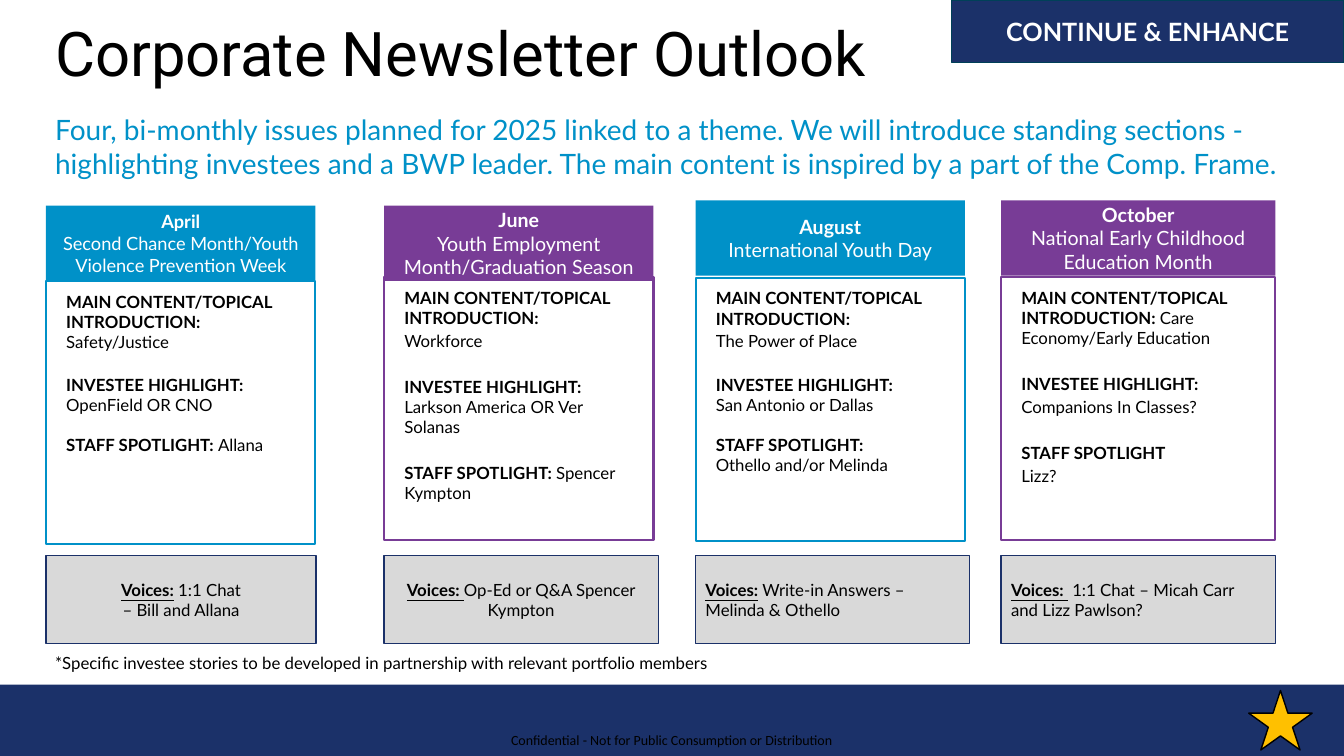
"""Builds the corporate newsletter outlook slide."""
import dataclasses
import typing

import pptx
import pptx.dml.color
import pptx.enum.shapes
import pptx.enum.text
import pptx.util

Cm = pptx.util.Cm
Pt = pptx.util.Pt
SHAPE = pptx.enum.shapes.MSO_SHAPE
ALIGN = pptx.enum.text.PP_ALIGN
ANCHOR = pptx.enum.text.MSO_ANCHOR

COLOURS = {
    "navy": "1B3169", "blue": "0091C8", "purple": "783C96", "grey": "D9D9D9",
    "gold": "FFC000", "teal": "004058", "black": "000000", "white": "FFFFFF",
}
HEADER_HEIGHT, BODY_HEIGHT = 1.9, 6.62
VOICES_TOP, VOICES_HEIGHT = 14.0, 2.21
BODY_INSETS = (0.51, 0.25, 0.51, 0.13)
DEFAULT_INSETS = (0.25, 0.13, 0.25, 0.13)
TOPIC = "MAIN CONTENT/TOPICAL INTRODUCTION:"
INVESTEE = "INVESTEE HIGHLIGHT:"
STAFF = "STAFF SPOTLIGHT:"


class Run(typing.NamedTuple):
    """A stretch of text with one style."""
    text: str
    bold: bool = False
    underline: bool = False


@dataclasses.dataclass(frozen=True)
class Line:
    """A paragraph with its spacing in points."""
    runs: tuple[Run, ...]
    before: float = 0
    after: float = 0


@dataclasses.dataclass(frozen=True)
class TextStyle:
    """Look and placement of the text in a box."""
    size: float
    colour: str = "black"
    font: str = "Lato"
    align: ALIGN = ALIGN.LEFT
    anchor: ANCHOR = ANCHOR.MIDDLE
    insets: tuple[float, ...] = DEFAULT_INSETS
    wrap: bool = True
    spacing: float = 1.0


@dataclasses.dataclass(frozen=True)
class Issue:
    """One newsletter issue: header, content and voices."""
    colour: str
    left: float
    width: float
    header_top: float
    body_top: float
    month: str
    theme: str
    content: tuple[Line, ...]
    voices: tuple[Line, ...]
    voices_width: float = 6.91
    header_size: float = 14
    voices_align: ALIGN = ALIGN.LEFT


def plain(text: str, before: float = 0, after: float = 0) -> Line:
    """Return a regular paragraph."""
    return Line((Run(text),), before, after)


def label(text: str, detail: str = "", before: float = 0, after: float = 0) -> Line:
    """Return a bold label, followed by any detail on the same line."""
    runs = (Run(f"{text} ", True), Run(detail)) if detail else (Run(text, True),)
    return Line(runs, before, after)


def voices(heading: str, detail: str) -> Line:
    """Return an underlined heading with its detail."""
    return Line((Run(heading, True, True), Run(detail)))


ISSUES = (
    Issue("blue", 1.16, 6.79, 5.18, 7.09, "April",
          "Second Chance Month/Youth Violence Prevention Week",
          (label(TOPIC, "Safety/Justice", after=2),
           label(INVESTEE, "OpenField OR CNO", 14.4),
           label(STAFF, "Allana", 14.4)),
          (voices("Voices:", " 1:1 Chat"), plain("– Bill and Allana")),
          voices_width=6.81, header_size=13, voices_align=ALIGN.CENTER),
    Issue("purple", 9.68, 6.79, 5.18, 6.99, "June",
          "Youth Employment Month/Graduation Season",
          (label(TOPIC, after=2), plain("Workforce", after=2),
           label(INVESTEE, "Larkson America OR Ver Solanas", 16.4, 2),
           label(STAFF, "Spencer Kympton", 16.4)),
          (voices("Voices: ", "Op-Ed or Q&A Spencer Kympton"),),
          voices_align=ALIGN.CENTER),
    Issue("blue", 17.53, 6.79, 5.05, 7.01, "August", "International Youth Day",
          (label(TOPIC, after=2), plain("The Power of Place", after=2),
           label(INVESTEE, before=14.4), plain("San Antonio or Dallas"),
           label(STAFF, before=14.4), plain("Othello and/or Melinda")),
          (voices("Voices:", " Write-in Answers – Melinda & Othello"),)),
    Issue("purple", 25.23, 6.91, 5.05, 6.99, "October",
          "National Early Childhood Education Month",
          (label(TOPIC, "Care Economy/Early Education", after=2),
           label(INVESTEE, before=16.4, after=2),
           plain("Companions In Classes?", after=2),
           label("STAFF SPOTLIGHT", before=16.4, after=2), plain("Lizz?")),
          (voices("Voices: ", " 1:1 Chat – Micah Carr and Lizz Pawlson?"),)),
)


def rgb(name: str) -> pptx.dml.color.RGBColor:
    """Look up a palette colour."""
    return pptx.dml.color.RGBColor.from_string(COLOURS[name])


def write(shape, lines: tuple[Line, ...], style: TextStyle) -> None:
    """Fill a shape with styled paragraphs."""
    frame = shape.text_frame
    frame.word_wrap = style.wrap
    frame.vertical_anchor = style.anchor
    (frame.margin_left, frame.margin_top,
     frame.margin_right, frame.margin_bottom) = map(Cm, style.insets)
    for index, line in enumerate(lines):
        paragraph = frame.add_paragraph() if index else frame.paragraphs[0]
        paragraph.alignment = style.align
        paragraph.line_spacing = style.spacing
        paragraph.space_before = Pt(line.before)
        paragraph.space_after = Pt(line.after)
        for part in line.runs:
            run = paragraph.add_run()
            run.text = part.text
            run.font.name = style.font
            run.font.size = Pt(style.size)
            run.font.bold = part.bold
            run.font.underline = part.underline
            run.font.color.rgb = rgb(style.colour)


def add_box(slide, box: tuple[float, ...], fill: str, line: str | None = None,
            line_width: float = 1, kind: SHAPE = SHAPE.RECTANGLE):
    """Draw a filled preset shape, outlined when a line colour is given."""
    shape = slide.shapes.add_shape(kind, *map(Cm, box))
    shape.shadow.inherit = False
    shape.fill.solid()
    shape.fill.fore_color.rgb = rgb(fill)
    if line:
        shape.line.color.rgb = rgb(line)
        shape.line.width = Pt(line_width)
    else:
        shape.line.fill.background()
    return shape


def add_text(slide, box: tuple[float, ...], text: str, style: TextStyle) -> None:
    """Place a single paragraph in a text box."""
    write(slide.shapes.add_textbox(*map(Cm, box)), (plain(text),), style)


def add_issue(slide, issue: Issue) -> None:
    """Draw the three stacked boxes of one issue."""
    body = add_box(slide, (issue.left, issue.body_top, issue.width, BODY_HEIGHT),
                   "white", issue.colour, 1.5)
    write(body, issue.content, TextStyle(12, anchor=ANCHOR.TOP, insets=BODY_INSETS))
    header = add_box(slide, (issue.left, issue.header_top, issue.width, HEADER_HEIGHT),
                     issue.colour)
    write(header, (label(issue.month), plain(issue.theme)),
          TextStyle(issue.header_size, "white", align=ALIGN.CENTER))
    footer = add_box(slide, (issue.left, VOICES_TOP, issue.voices_width, VOICES_HEIGHT),
                     "grey", "navy")
    write(footer, issue.voices, TextStyle(12, align=issue.voices_align))


def main() -> None:
    """Build and save the slide."""
    deck = pptx.Presentation()
    deck.slide_width, deck.slide_height = Cm(33.87), Cm(19.05)
    slide = deck.slides.add_slide(deck.slide_layouts[6])
    add_box(slide, (0, 17.25, 33.87, 1.8), "navy")
    add_text(slide, (12.88, 18.44, 8.2, 0.43),
             "Confidential - Not for Public Consumption or Distribution",
             TextStyle(10, font="Calibri", anchor=ANCHOR.TOP,
                       insets=(0, 0, 0, 0), wrap=False))
    add_text(slide, (1.14, 0.38, 29.21, 2.11), "Corporate Newsletter Outlook",
             TextStyle(44, font="Roboto", spacing=0.9))
    for issue in ISSUES:
        add_issue(slide, issue)
    add_text(slide, (1.14, 16.33, 30.94, 0.76),
             "*Specific investee stories to be developed in partnership "
             "with relevant portfolio members", TextStyle(12, anchor=ANCHOR.TOP))
    tag = add_box(slide, (23.98, 0, 9.89, 1.57), "navy", "teal")
    write(tag, (label("CONTINUE & ENHANCE"),),
          TextStyle(18, "white", align=ALIGN.CENTER))
    add_text(slide, (1.14, 2.59, 31.9, 2.18),
             "Four, bi-monthly issues planned for 2025 linked to a theme. We will "
             "introduce standing sections - highlighting investees and a BWP leader. "
             "The main content is inspired by a part of the Comp. Frame.",
             TextStyle(20, "blue"))
    add_box(slide, (31.47, 17.4, 1.6, 1.5), "gold", "black", kind=SHAPE.STAR_5_POINT)
    deck.save("out.pptx")


if __name__ == "__main__":
    main()
